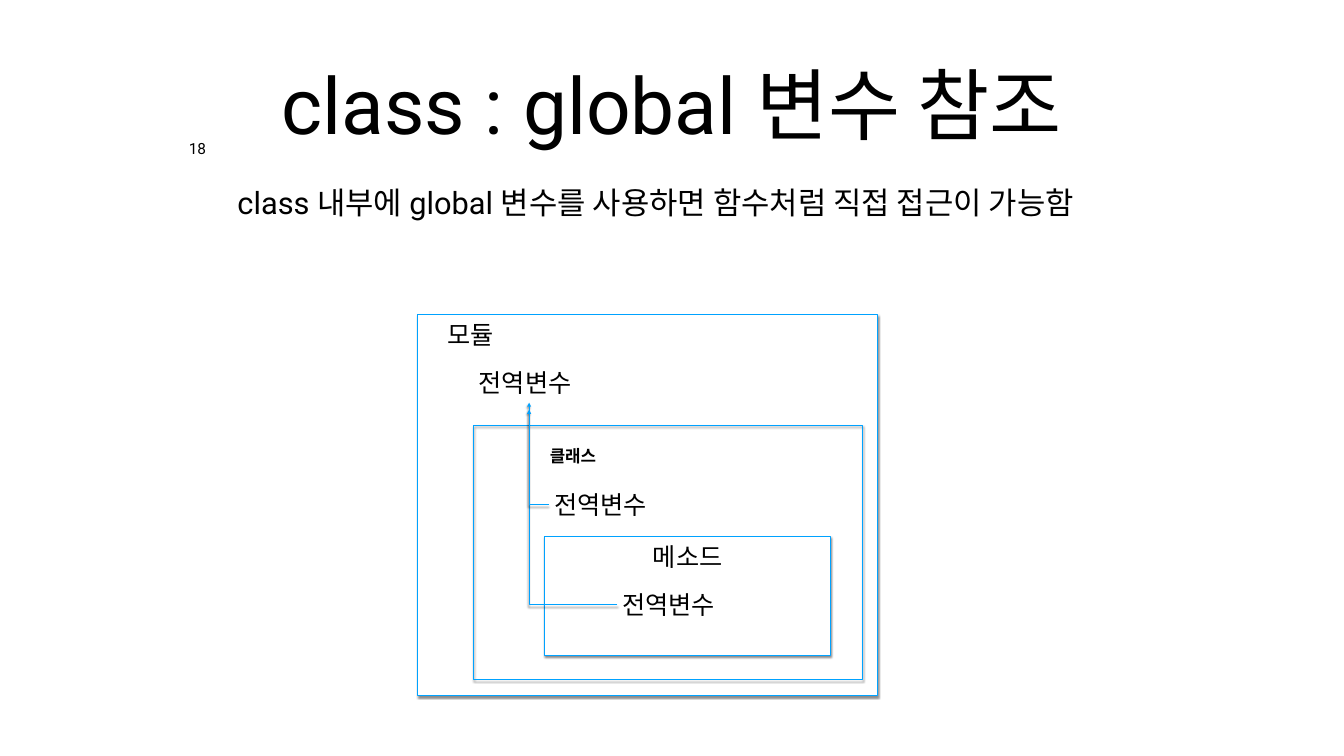
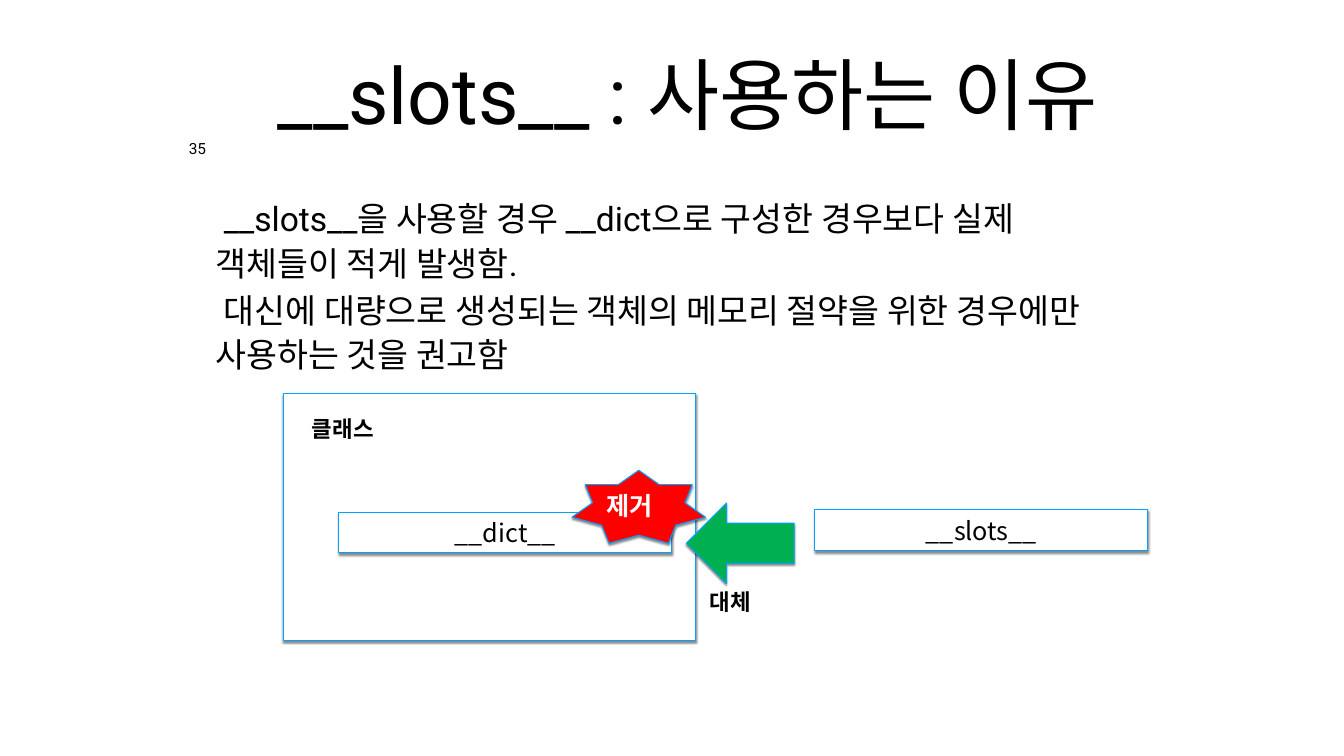
"""Build two slides on Python class scope and slots."""
import lxml.etree
import pptx
import pptx.dml.color
import pptx.enum.dml
import pptx.enum.shapes
import pptx.enum.text
import pptx.oxml
import pptx.oxml.ns
import pptx.util

Cm = pptx.util.Cm
Pt = pptx.util.Pt
qn = pptx.oxml.ns.qn
hue = pptx.dml.color.RGBColor.from_string
Kind = pptx.enum.shapes.MSO_SHAPE
Align = pptx.enum.text.PP_ALIGN
Anchor = pptx.enum.text.MSO_ANCHOR
SANS, NOTO = "Roboto", "Noto Sans CJK KR"
BLACK, WHITE, BLUE, RED, GREEN = "000000", "FFFFFF", "00A2FF", "FF0000", "00B050"
SHADE = (
    '<a:effectLst xmlns:a="http://schemas.openxmlformats.org/drawingml/2006/main">'
    '<a:outerShdw blurRad="38100" dist="30480" dir="5400000" rotWithShape="0">'
    '<a:srgbClr val="000000"><a:alpha val="45000"/></a:srgbClr>'
    "</a:outerShdw></a:effectLst>"
)


def style(item, fill=None):
    if hasattr(item, "fill"):
        if fill:
            item.fill.solid()
            item.fill.fore_color.rgb = hue(fill)
        else:
            item.fill.background()
    item.line.color.rgb = hue(BLUE)
    item.line.width = Pt(1.5)
    item._element.spPr.append(pptx.oxml.parse_xml(SHADE))
    return item


def write(item, text, size=36, font=NOTO, color=BLACK, bold=False, align=Align.LEFT,
          anchor=Anchor.TOP, pad=0.25, wrap=True, space=None, gap=0, indent=0):
    frame = item.text_frame
    frame.word_wrap = wrap
    frame.vertical_anchor = anchor
    frame.margin_left = frame.margin_right = Cm(pad)
    frame.margin_top = frame.margin_bottom = Cm(pad)
    for i, part in enumerate(text.split("\n")):
        para = frame.add_paragraph() if i else frame.paragraphs[0]
        para.alignment = align
        para.line_spacing = space
        if i:
            para.space_before = Pt(gap)
        if indent:
            para._p.get_or_add_pPr().set("indent", str(Cm(indent)))
        run = para.add_run()
        run.text = part
        run.font.name = font
        run.font.size = Pt(size)
        run.font.bold = bold
        run.font.color.rgb = hue(color)
        face = lxml.etree.SubElement(run._r.get_or_add_rPr(), qn("a:ea"))
        face.set("typeface", NOTO)


deck = pptx.Presentation()
deck.slide_width, deck.slide_height = Cm(67.74), Cm(38.1)

heads = [
    ("class : global 변수 참조", (12.19, 0.99, 43.36, 8.43), "18"),
    ("__slots__ : 사용하는 이유", (10.26, 1.52, 48.79, 6.35), "35"),
]
bodies = [
    ("class 내부에 global 변수를 사용하면 함수처럼 직접 접근이 가능함",
     (11.77, 9.04, 52.95, 6.6), dict(size=44)),
    ("__slots__을 사용할 경우 __dict으로 구성한 경우보다 실제 객체들이 적게 발생함.\n"
     "대신에 대량으로 생성되는 객체의 메모리 절약을 위한 경우에만 사용하는 것을 권고함",
     (10.67, 9.86, 45.72, 8.94),
     dict(size=48, anchor=Anchor.MIDDLE, space=1.1, gap=4, indent=0.42)),
]
pages = []
for (title, spot, num), (body, area, form) in zip(heads, bodies):
    page = deck.slides.add_slide(deck.slide_layouts[6])
    pages.append(page.shapes)
    write(page.shapes.add_textbox(*map(Cm, spot)), title, size=112, font=SANS,
          align=Align.CENTER, anchor=Anchor.MIDDLE, pad=0.2)
    write(page.shapes.add_textbox(*map(Cm, area)), body, font=SANS, pad=0.2, **form)
    write(page.shapes.add_textbox(Cm(9.32), Cm(6.99), Cm(1.27), Cm(1.14)), num, size=22,
          font=SANS, align=Align.CENTER, pad=0.2, wrap=False, space=0.8)
scope, slots = pages

frames = [
    ((21.06, 15.85, 23.19, 19.2), WHITE),
    ((27.46, 27.05, 14.4, 5.99), WHITE),
    ((23.88, 21.44, 19.61, 12.8), None),
]
boxes = [style(scope.add_shape(Kind.RECTANGLE, *map(Cm, at)), fill) for at, fill in frames]
write(boxes[1], "메소드", align=Align.CENTER)

labels = [
    ("모듈", 22.3, 15.85),
    ("전역변수", 23.88, 18.26),
    ("전역변수", 27.69, 24.43),
    ("전역변수", 31.12, 29.44),
]
for text, x, y in labels:
    write(scope.add_textbox(Cm(x), Cm(y), Cm(5.59), Cm(2.06)), text)
write(scope.add_textbox(Cm(27.46), Cm(22.2), Cm(5.59), Cm(1.55)), "클래스", size=24, bold=True)

for ends in [(31.12, 30.48, 26.67, 20.29), (27.69, 25.45, 26.67, 20.65)]:
    link = scope.add_connector(pptx.enum.shapes.MSO_CONNECTOR.ELBOW, *map(Cm, ends))
    style(link)
    shape = link._element.spPr
    shape.find(qn("a:prstGeom")).set("prst", "bentConnector2")
    tip = lxml.etree.SubElement(shape.find(qn("a:ln")), qn("a:tailEnd"))
    tip.set("type", "triangle")

style(slots.add_shape(Kind.RECTANGLE, Cm(14.27), Cm(19.84), Cm(20.8), Cm(12.45)), WHITE)
for text, x, y in [("__dict__", 17.07, 25.81), ("__slots__", 41.07, 25.7)]:
    cell = slots.add_shape(Kind.RECTANGLE, Cm(x), Cm(y), Cm(16.79), Cm(2.06))
    write(style(cell, WHITE), text, align=Align.CENTER, anchor=Anchor.MIDDLE)
star = slots.add_shape(Kind.STAR_7_POINT, Cm(28.83), Cm(23.7), Cm(6.73), Cm(3.68))
write(style(star, RED), "제거", color=WHITE, bold=True, anchor=Anchor.MIDDLE)
style(slots.add_shape(Kind.LEFT_ARROW, Cm(34.59), Cm(25.35), Cm(5.44), Cm(4.06)), GREEN)
for text, x, y in [("클래스", 15.47, 20.65), ("대체", 35.53, 29.41)]:
    write(slots.add_textbox(Cm(x), Cm(y), Cm(7), Cm(1.88)), text, size=32, bold=True)

deck.save("out.pptx")
